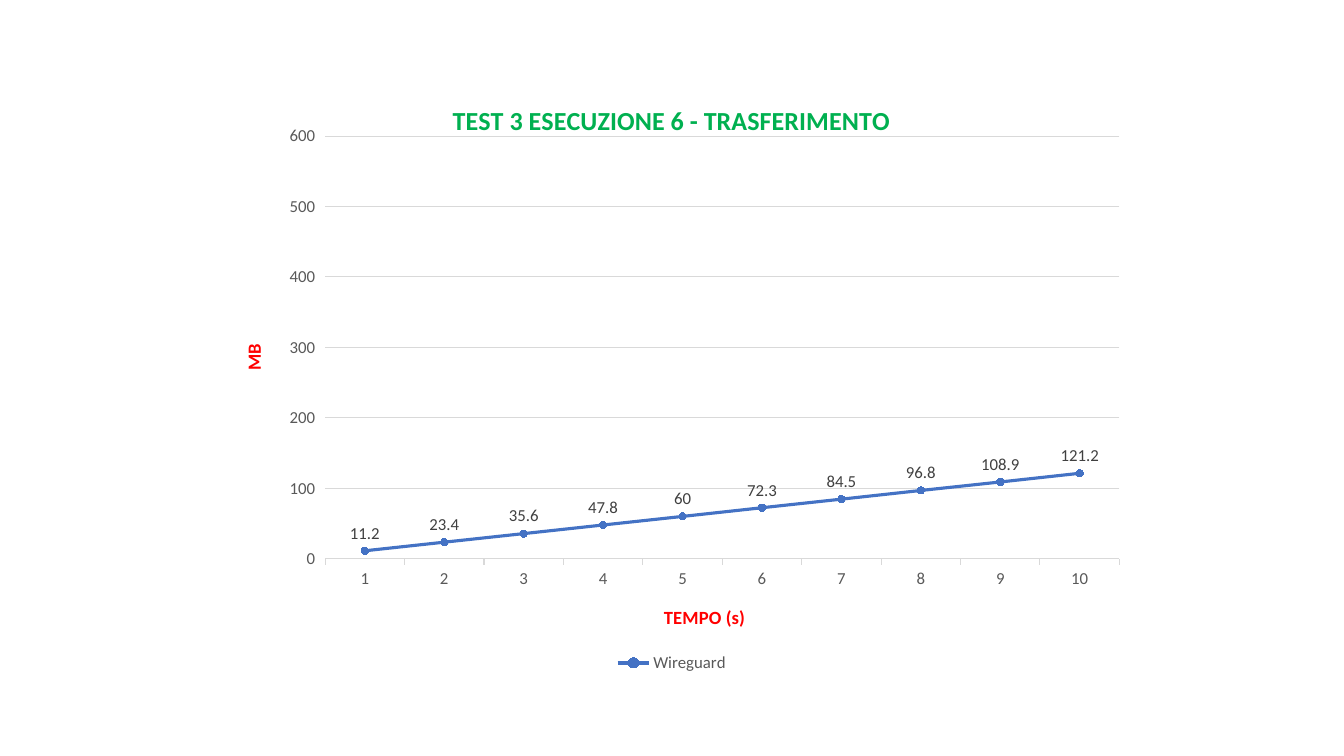
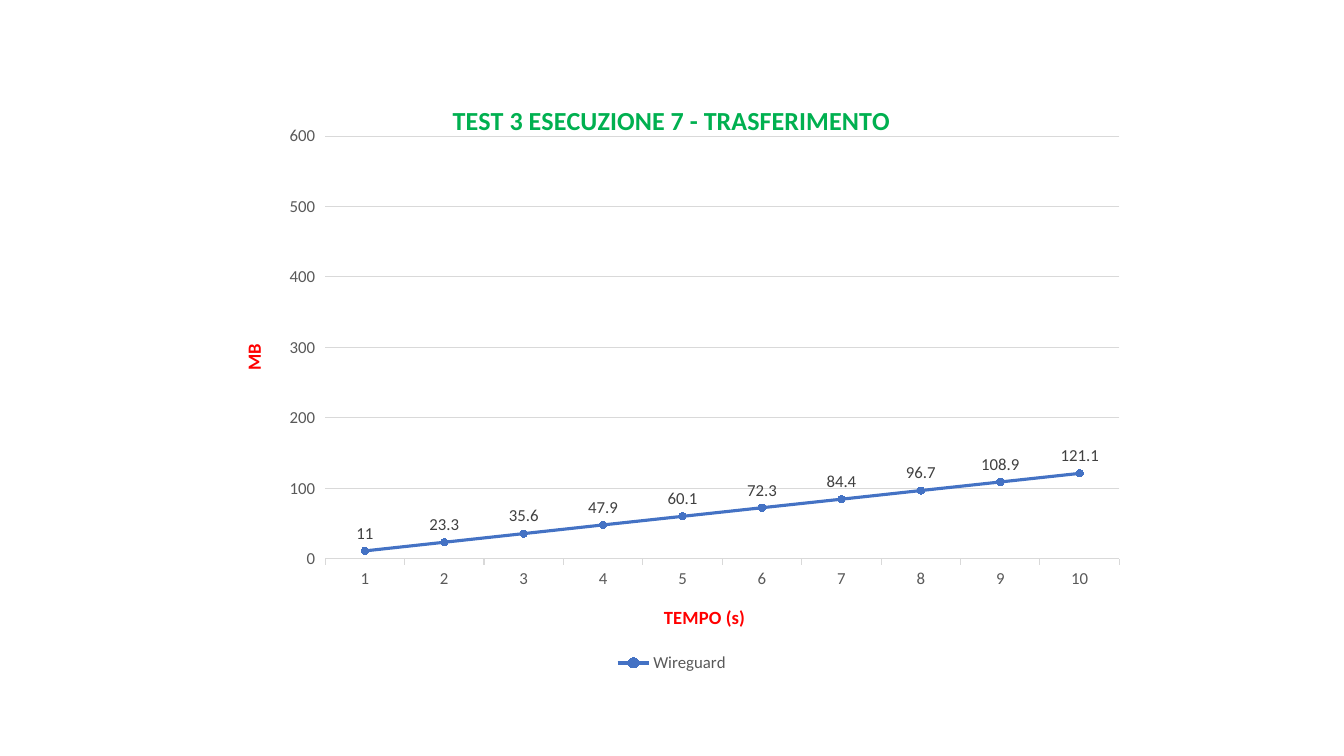
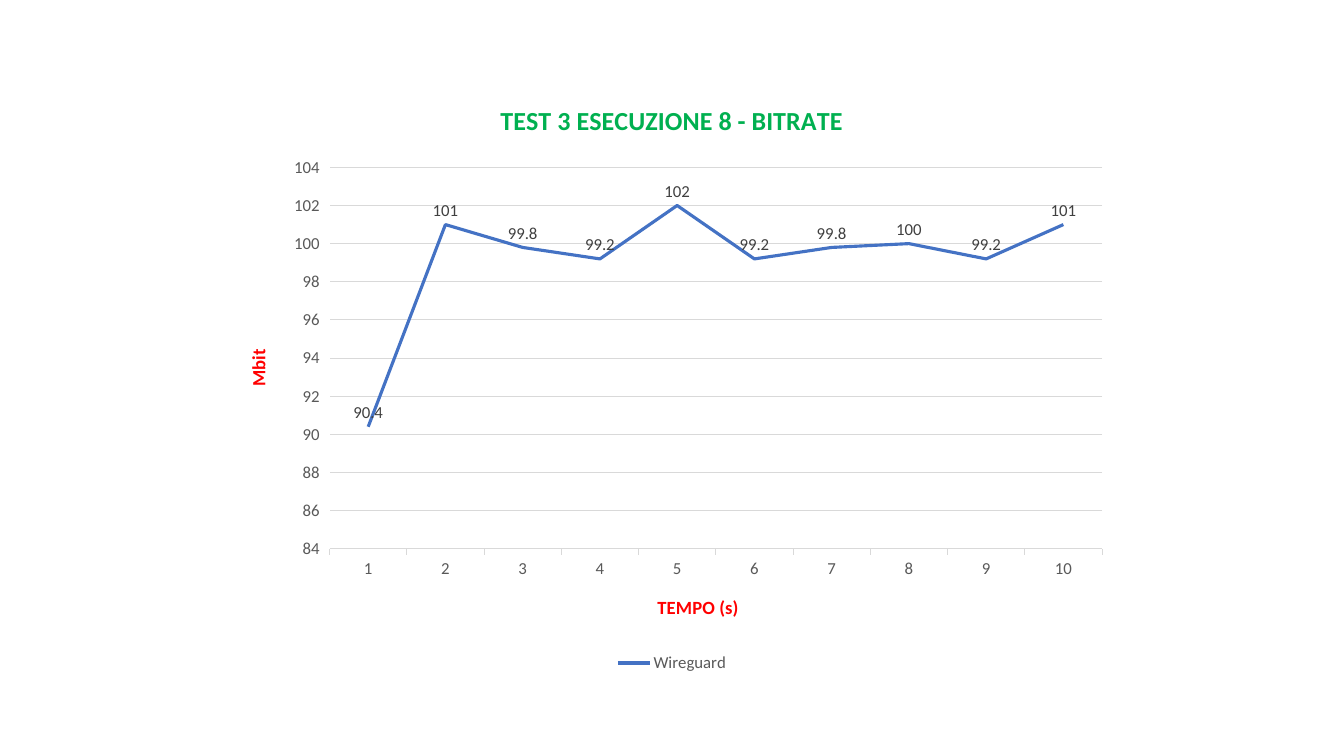
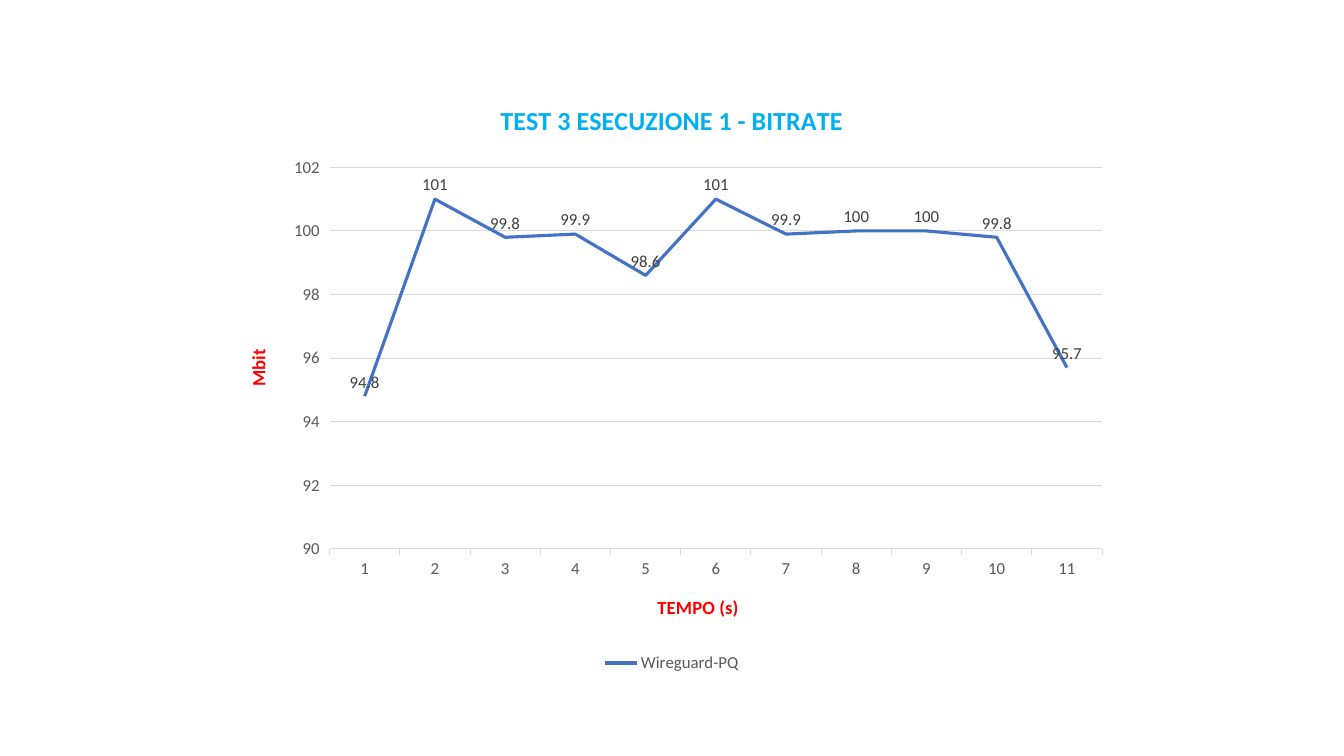
from pptx import Presentation
from pptx import util as u
from pptx.chart.data import CategoryChartData
from pptx.dml.color import RGBColor
from pptx.enum import chart as kinds
from pptx.oxml import parse_xml
from pptx.oxml.ns import nsdecls

PX = 914400 / 100.8
SLIDE_SIZE = (1344, 756)
CHART_BOX = (224, 80, 896, 597)

FONT = "Calibri"
GREEN = RGBColor(0x00, 0xB0, 0x50)
CYAN = RGBColor(0x00, 0xB0, 0xF0)
RED = RGBColor(0xFF, 0x00, 0x00)
BLUE = RGBColor(0x44, 0x72, 0xC4)
BLACK = RGBColor(0x00, 0x00, 0x00)
GRAY = RGBColor(0x59, 0x59, 0x59)
DARK_GRAY = RGBColor(0x40, 0x40, 0x40)
GRID_GRAY = RGBColor(0xD9, 0xD9, 0xD9)

TRANSFER = {
    "unit": "MB",
    "type": kinds.XL_CHART_TYPE.LINE_MARKERS,
    "range": (0, 600),
    "plot": {"x": 0.113, "y": 0.094, "w": 0.887, "h": 0.708},
}
BITRATE = {
    "unit": "Mbit",
    "type": kinds.XL_CHART_TYPE.LINE,
    "range": None,
    "plot": None,
}

# kind, title, title colour, series name, one value per second
TESTS = [
    (TRANSFER, "TEST 3 ESECUZIONE 6 - TRASFERIMENTO", GREEN, "Wireguard",
     [11.2, 23.4, 35.6, 47.8, 60, 72.3, 84.5, 96.8, 108.9, 121.2]),
    (TRANSFER, "TEST 3 ESECUZIONE 7 - TRASFERIMENTO", GREEN, "Wireguard",
     [11, 23.3, 35.6, 47.9, 60.1, 72.3, 84.4, 96.7, 108.9, 121.1]),
    (BITRATE, "TEST 3 ESECUZIONE 8 - BITRATE", GREEN, "Wireguard",
     [90.4, 101, 99.8, 99.2, 102, 99.2, 99.8, 100, 99.2, 101]),
    (BITRATE, "TEST 3 ESECUZIONE 1 - BITRATE", CYAN, "Wireguard-PQ",
     [94.8, 101, 99.8, 99.9, 98.6, 101, 99.9, 100, 100, 99.8, 95.7]),
]


def px(value):
    return u.Emu(round(value * PX))


def style_font(font, size, color, bold=False):
    font.name = FONT
    font.size = u.Pt(size)
    font.bold = bold
    font.color.rgb = color


def style_line(line, color, width):
    line.color.rgb = color
    line.width = u.Pt(width)


def write_title(title, wording, size, color):
    run = title.text_frame.paragraphs[0].add_run()
    run.text = wording
    style_font(run.font, size, color, bold=True)


def style_axis(axis, wording):
    write_title(axis.axis_title, wording, 13.3, RED)
    style_font(axis.tick_labels.font, 12, GRAY)
    axis.major_tick_mark = kinds.XL_TICK_MARK.OUTSIDE
    axis.minor_tick_mark = kinds.XL_TICK_MARK.NONE


def style_axes(chart, kind):
    style_axis(chart.category_axis, "TEMPO (s)")
    chart.category_axis.has_major_gridlines = False
    style_line(chart.category_axis.format.line, GRID_GRAY, 0.75)

    value_axis = chart.value_axis
    style_axis(value_axis, kind["unit"])
    value_axis.has_major_gridlines = True
    style_line(value_axis.major_gridlines.format.line, GRID_GRAY, 0.75)
    value_axis.format.line.fill.background()
    if kind["range"]:
        value_axis.minimum_scale, value_axis.maximum_scale = kind["range"]
    for body in chart._chartSpace.xpath(".//c:valAx/c:title//a:bodyPr"):
        body.set("rot", "-5400000")
        body.set("vert", "horz")


def style_series(chart, with_markers):
    series = chart.plots[0].series[0]
    series.smooth = False
    style_line(series.format.line, BLUE, 2.25)
    if with_markers:
        marker = series.marker
        marker.style = kinds.XL_MARKER_STYLE.CIRCLE
        marker.size = 5
        marker.format.fill.solid()
        marker.format.fill.fore_color.rgb = BLUE
        style_line(marker.format.line, BLUE, 0.75)
    labels = series.data_labels
    labels.show_value = True
    labels.position = kinds.XL_LABEL_POSITION.ABOVE
    style_font(labels.font, 12, DARK_GRAY)


def fix_plot_area(chart, fractions):
    """Give the inner plot area a fixed place, as fractions of the chart."""
    plot_area = chart._chartSpace.xpath(".//c:plotArea")[0]
    for layout in plot_area.xpath("./c:layout"):
        plot_area.remove(layout)
    modes = "".join(f'<c:{side}Mode val="edge"/>' for side in "xy")
    sizes = "".join(f'<c:{key} val="{value}"/>' for key, value in fractions.items())
    plot_area.insert(0, parse_xml(
        f'<c:layout {nsdecls("c")}><c:manualLayout><c:layoutTarget val="inner"/>'
        f"{modes}{sizes}</c:manualLayout></c:layout>"))


def add_test_slide(presentation, kind, title, title_color, series_name, values):
    slide = presentation.slides.add_slide(presentation.slide_layouts[6])
    data = CategoryChartData()
    data.categories = [str(second) for second in range(1, len(values) + 1)]
    data.add_series(series_name, values)
    chart = slide.shapes.add_chart(kind["type"], *map(px, CHART_BOX), data).chart

    style_font(chart.font, 10, BLACK)
    write_title(chart.chart_title, title, 18.6, title_color)
    chart.chart_title.include_in_layout = False
    chart.plots[0].vary_by_categories = False
    style_axes(chart, kind)
    style_series(chart, kind["type"] == kinds.XL_CHART_TYPE.LINE_MARKERS)

    chart.has_legend = True
    chart.legend.position = kinds.XL_LEGEND_POSITION.BOTTOM
    chart.legend.include_in_layout = False
    style_font(chart.legend.font, 12, GRAY)
    if kind["plot"]:
        fix_plot_area(chart, kind["plot"])


def main():
    presentation = Presentation()
    presentation.slide_width, presentation.slide_height = map(px, SLIDE_SIZE)
    for test in TESTS:
        add_test_slide(presentation, *test)
    presentation.save("out.pptx")


if __name__ == "__main__":
    main()
